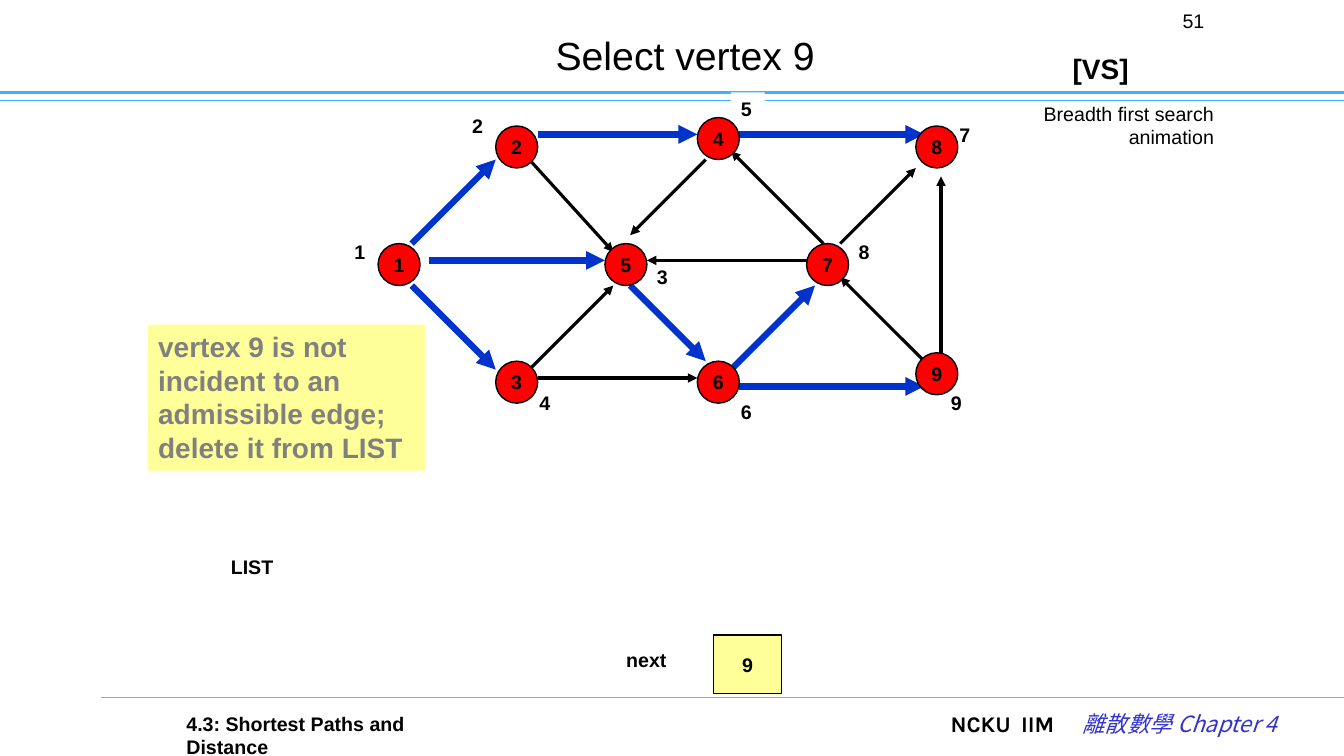
from pptx import Presentation
from pptx.dml.color import RGBColor
from pptx.enum.shapes import MSO_CONNECTOR, MSO_SHAPE
from pptx.enum.text import MSO_ANCHOR, PP_ALIGN
from pptx.oxml.ns import qn
from pptx.util import Inches, Pt
from lxml import etree

STRAIGHT = MSO_CONNECTOR.STRAIGHT
OVAL, RECT = MSO_SHAPE.OVAL, MSO_SHAPE.RECTANGLE
LEFT, CENTER, RIGHT = PP_ALIGN.LEFT, PP_ALIGN.CENTER, PP_ALIGN.RIGHT
TOP, MIDDLE = MSO_ANCHOR.TOP, MSO_ANCHOR.MIDDLE
BLACK, WHITE, RED, BLUE, YELLOW = "000000", "FFFFFF", "FF0000", "0033CC", "FFFF99"

# Content: graph positions are in grid units of 1/12 inch
GRID = 1 / 12
NODE_SIZE, LABEL_SIZE = 5, 4
TITLE = "Select vertex 9"
RULES = [  # x1, x2, y, colour, width
    (0, 13.33, 1, "3DB0FF", 0.75),
    (0, 13.33, 0.92, "3DB0FF", 2.5),
    (1, 13.33, 6.92, "33CCFF", 0.75),
]
NODES = {  # vertex: (left, top)
    1: (45, 29), 2: (59, 15), 3: (59, 43), 4: (83, 14), 5: (72, 29),
    6: (83, 43), 7: (96, 29), 8: (109, 15), 9: (109, 42),
}
VISIT_ORDER = {  # order: (left, top)
    1: (41, 28), 2: (55, 13), 3: (77, 31), 4: (63, 46), 5: (87, 11),
    6: (87, 47), 7: (113, 14), 8: (101, 28), 9: (112, 46),
}
OTHER_EDGES = [
    (63, 19, 73, 30), (84, 19, 75, 28), (98, 29, 87, 18),
    (100, 29, 109, 20), (96, 31, 77, 31), (63, 44, 73, 34),
    (64, 45, 83, 45), (110, 43, 100, 33), (112, 42, 112, 21),
]
TREE_EDGES = [
    (49, 29, 59, 19), (51, 31, 72, 31), (49, 34, 59, 44), (64, 16, 83, 16),
    (88, 16, 110, 16), (75, 34, 84, 43), (87, 44, 97, 34), (88, 46, 110, 46),
]
NOTE = "vertex 9 is not incident to an admissible edge; delete it from LIST"
CAPTIONS = [  # text, box, size, bold, alignment, left inset
    ("LIST", (2.08, 5.46, 0.73, 0.34), 14, True, LEFT, 0.21),
    ("next", (6, 6.38, 0.71, 0.34), 14, True, LEFT, 0.21),
    ("Breadth first search animation", (9.58, 0.96, 2.56, 0.5), 14, False, RIGHT, 0.1),
    ("51", (11.63, 0.04, 0.45, 0.42), 14, False, LEFT, 0.1),
    ("4.3: Shortest Paths and Distance", (1.75, 7.01, 3.22, 0.33), 14, True, LEFT, 0.1),
    ("[VS]", (10.54, 0.46, 0.76, 0.44), 20, True, LEFT, 0.1),
]
COURSE = [  # text, font, colour, bold, italic
    ("NCKU\tIIM\t", "Karla", BLACK, True, False),
    ("離散數學 Chapter 4", "Noto Sans CJK SC", "3333CC", False, True),
]
COURSE_TABS = (0.7, 1.31)

prs = Presentation()
prs.slide_width, prs.slide_height = Inches(13.33), Inches(7.5)
slide = prs.slides.add_slide(prs.slide_layouts[5])
shapes = slide.shapes


def rgb(hex_code):
    return RGBColor.from_string(hex_code)


def write(shape, text, size=14, bold=True, color=BLACK, align=LEFT, anchor=TOP):
    frame = shape.text_frame
    frame.word_wrap = True
    frame.vertical_anchor = anchor
    paragraph = frame.paragraphs[0]
    paragraph.text = text
    paragraph.alignment = align
    font = paragraph.font
    font.name, font.size, font.bold = "Arial", Pt(size), bold
    font.color.rgb = rgb(color)


def add_line(x1, y1, x2, y2, color, width, arrow=False):
    line = shapes.add_connector(STRAIGHT, Inches(x1), Inches(y1), Inches(x2), Inches(y2))
    line.line.color.rgb = rgb(color)
    line.line.width = Pt(width)
    if arrow:
        etree.SubElement(line.line._get_or_add_ln(), qn("a:tailEnd"), type="triangle")
    etree.SubElement(line._element.spPr, qn("a:effectLst"))


def add_block(kind, box, fill, outlined=False):
    block = shapes.add_shape(kind, *map(Inches, box))
    block.shadow.inherit = False
    block.fill.solid()
    block.fill.fore_color.rgb = rgb(fill)
    if outlined:
        block.line.color.rgb = rgb(BLACK)
        block.line.width = Pt(1)
    else:
        block.line.fill.background()
    return block


def grid_box(left, top, size):
    return [value * GRID for value in (left, top, size, size)]


# Header and footer rules
for x1, x2, y, color, width in RULES:
    add_line(x1, y, x2, y, color, width)

# Title
title = shapes.title
title.left, title.top = Inches(2.17), Inches(0.25)
title.width, title.height = Inches(9.25), Inches(0.58)
write(title, TITLE, 28, bold=False, align=CENTER, anchor=MIDDLE)

# Visit order beside each vertex
for order, (left, top) in VISIT_ORDER.items():
    write(add_block(RECT, grid_box(left, top, LABEL_SIZE), WHITE), str(order))

# Edges, with the search tree on top
for edges, color, width in ((OTHER_EDGES, BLACK, 2.25), (TREE_EDGES, BLUE, 4.5)):
    for edge in edges:
        add_line(*(value * GRID for value in edge), color, width, arrow=True)

# Vertices and the next vertex
vertices = [(OVAL, grid_box(*corner, NODE_SIZE), RED, number)
            for number, corner in NODES.items()]
for kind, box, fill, number in vertices + [(RECT, (7.08, 6.3, 0.67, 0.58), YELLOW, 9)]:
    vertex = add_block(kind, box, fill, outlined=True)
    write(vertex, str(number), align=CENTER, anchor=MIDDLE)
    vertex.text_frame.word_wrap = False

# Note
write(add_block(RECT, (1.47, 3.22, 2.75, 1.45), YELLOW), NOTE, 20, color="808080")

# Captions
for text, box, size, bold, align, inset in CAPTIONS:
    caption = shapes.add_textbox(*map(Inches, box))
    write(caption, text, size, bold, align=align)
    caption.text_frame.margin_left = Inches(inset)
    if inset > 0.1:
        caption.text_frame.margin_right = 0

# Course line in the footer
course = shapes.add_textbox(Inches(9.33), Inches(7), Inches(3.6), Inches(0.5))
course.text_frame.word_wrap = True
course_line = course.text_frame.paragraphs[0]
tab_list = etree.SubElement(course_line._p.get_or_add_pPr(), qn("a:tabLst"))
for stop in COURSE_TABS:
    etree.SubElement(tab_list, qn("a:tab"), pos=str(Inches(stop)), algn="l")
course_line.font.size = Pt(16)
for text, face, color, bold, italic in COURSE:
    run = course_line.add_run()
    run.text = text
    font = run.font
    font.name, font.size, font.bold, font.italic = face, Pt(16), bold, italic
    font.color.rgb = rgb(color)
    etree.SubElement(font._element, qn("a:ea"), typeface=face)

prs.save("out.pptx")
